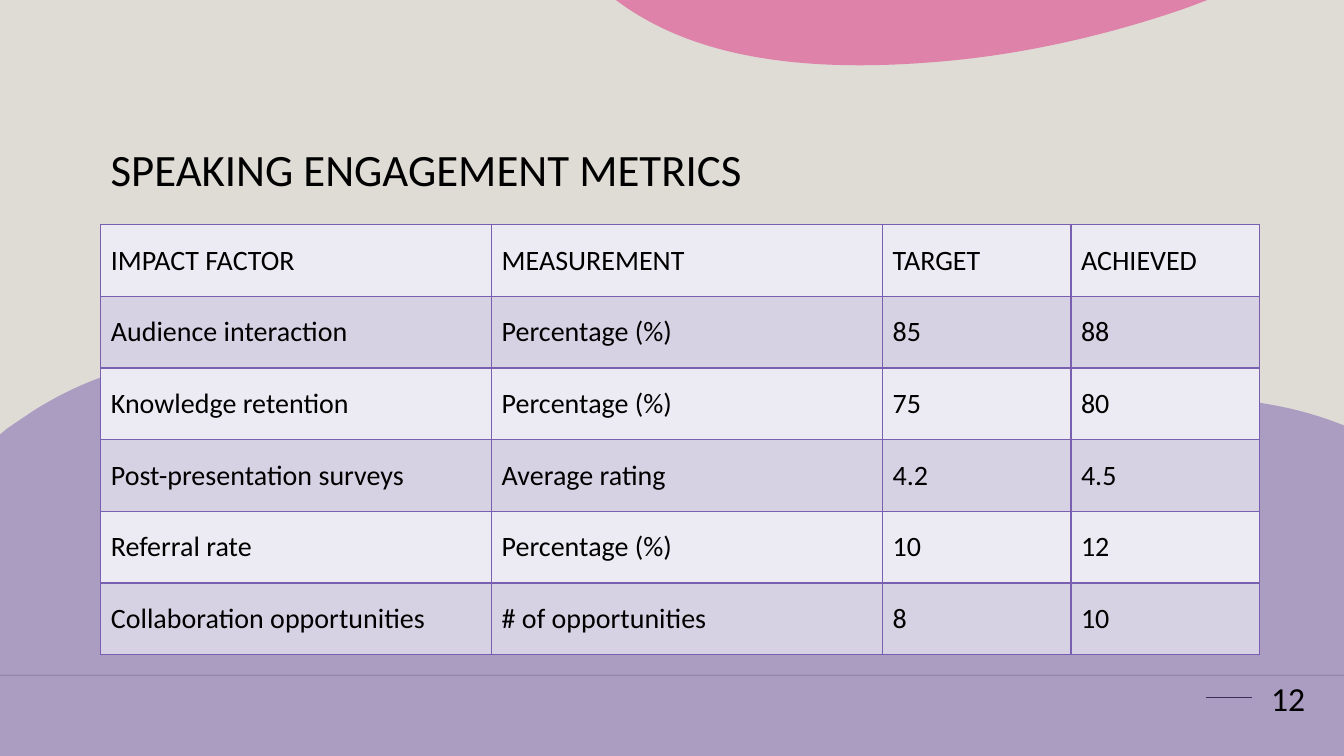
from lxml import etree
from pptx import Presentation
from pptx.dml.color import RGBColor
from pptx.enum.shapes import MSO_CONNECTOR, MSO_SHAPE
from pptx.enum.text import MSO_ANCHOR, PP_ALIGN
from pptx.oxml.ns import qn
from pptx.util import Cm, Pt

LEFT, CENTER = PP_ALIGN.LEFT, PP_ALIGN.CENTER
MIDDLE, BOTTOM = MSO_ANCHOR.MIDDLE, MSO_ANCHOR.BOTTOM
STRAIGHT, RECTANGLE = MSO_CONNECTOR.STRAIGHT, MSO_SHAPE.RECTANGLE

SAND = RGBColor(0xDF, 0xDB, 0xD5)
PURPLE = RGBColor(0x79, 0x5F, 0xAF)
PINK = RGBColor(0xDE, 0x47, 0x8E)
BLACK = RGBColor(0, 0, 0)
PALE = RGBColor(0xEC, 0xEA, 0xF2)
LILAC = RGBColor(0xD7, 0xD2, 0xE3)
FONT = "Calibri"

# Content
TITLE = "SPEAKING ENGAGEMENT METRICS"
PAGE_NUMBER = "12"
METRICS = [
    ("IMPACT FACTOR", "MEASUREMENT", "TARGET", "ACHIEVED"),
    ("Audience interaction", "Percentage (%)", "85", "88"),
    ("Knowledge retention", "Percentage (%)", "75", "80"),
    ("Post-presentation surveys", "Average rating", "4.2", "4.5"),
    ("Referral rate", "Percentage (%)", "10", "12"),
    ("Collaboration opportunities", "# of opportunities", "8", "10"),
]

# Layout in centimetres
WIDTH, HEIGHT = 33.87, 19.05
HORIZON = 17.02
TABLE_LEFT, TABLE_TOP, TABLE_HEIGHT = 2.54, 5.66, 10.84
COLUMN_WIDTHS = (9.85, 9.85, 4.75, 4.75)

# Outlines: one point is a straight side, three points are a Bezier curve
HILLS = [
    [(5.13, 9.09)],
    [(5.99, 9.12), (6.86, 9.3), (7.72, 9.63)],
    [(8.48, 9.91), (9.14, 10.36), (9.8, 10.8)],
    [(11.25, 11.73), (12.83, 12.45), (14.66, 12.7)],
    [(16.18, 12.93), (17.73, 12.78), (19.28, 12.4)],
    [(21.01, 11.99), (22.02, 11.61), (23.06, 11.25)],
    [(24.08, 10.9), (29.49, 9.07), (33.66, 10.64)],
    [(WIDTH, 10.72)], [(WIDTH, HEIGHT)], [(0, HEIGHT)], [(0, 10.95)],
    [(0.18, 10.8)],
    [(0.41, 10.64), (0.64, 10.49), (0.86, 10.34)],
    [(2.29, 9.45), (3.71, 9.04), (5.13, 9.09)],
]
PETAL = [
    [(15.52, 0)], [(30.43, 0)], [(29.9, 0.2)],
    [(26.82, 1.27), (24.41, 1.5), (23.47, 1.57)],
    [(19.2, 1.91), (17.04, 1.04), (15.77, 0.18)],
]


def set_opacity(element, percent):
    color = element.find(".//" + qn("a:srgbClr"))
    etree.SubElement(color, qn("a:alpha"), val=str(percent * 1000))


def write(frame, text, size, align=LEFT, anchor=MIDDLE, spacing=1.0):
    frame.word_wrap = True
    frame.vertical_anchor = anchor
    para = frame.paragraphs[0]
    para.alignment = align
    para.line_spacing = spacing
    span = para.add_run()
    span.text = text
    span.font.name = FONT
    span.font.size = Pt(size)
    span.font.color.rgb = BLACK


def add_text(page, text, left, top, width, height, **style):
    box = page.shapes.add_textbox(Cm(left), Cm(top), Cm(width), Cm(height))
    write(box.text_frame, text, **style)


def add_rule(page, start, end, height, weight, opacity=None):
    rule = page.shapes.add_connector(
        STRAIGHT, Cm(start), Cm(height), Cm(end), Cm(height))
    rule.line.color.rgb = BLACK
    rule.line.width = Pt(weight)
    properties = rule.element.spPr
    if opacity:
        set_opacity(properties, opacity)
    etree.SubElement(properties, qn("a:effectLst"))


def paint(shape, color, opacity=None):
    shape.shadow.inherit = False
    shape.fill.solid()
    shape.fill.fore_color.rgb = color
    if opacity:
        set_opacity(shape.element.spPr, opacity)
    shape.line.fill.background()


def add_blob(page, outline, bottom, color, opacity):
    first, *rest = [(Cm(x), Cm(y)) for *_, (x, y) in outline]
    builder = page.shapes.build_freeform(*first)
    builder.add_line_segments(rest, close=True)
    blob = builder.convert_to_shape()
    geometry = blob.element.spPr.find(".//" + qn("a:path"))

    # Bend the sides that have control points
    for side, part in zip(geometry.findall(qn("a:lnTo")), outline[1:]):
        if len(part) == 3:
            curve = etree.Element(qn("a:cubicBezTo"))
            for x, y in part:
                etree.SubElement(curve, qn("a:pt"), x=str(Cm(x) - blob.left),
                                 y=str(Cm(y) - blob.top))
            geometry.replace(side, curve)

    # A curve may reach below its end points
    blob.height = Cm(bottom) - blob.top
    geometry.set("h", str(blob.height))
    paint(blob, color, opacity)


def set_borders(cell):
    properties = cell._tc.get_or_add_tcPr()
    for index, side in enumerate(("a:lnL", "a:lnR", "a:lnT", "a:lnB")):
        border = etree.Element(qn(side), w=str(Pt(1)))
        fill = etree.SubElement(border, qn("a:solidFill"))
        etree.SubElement(fill, qn("a:srgbClr"), val=str(PURPLE))
        properties.insert(index, border)


def add_metrics(page):
    table = page.shapes.add_table(
        len(METRICS), len(COLUMN_WIDTHS), Cm(TABLE_LEFT), Cm(TABLE_TOP),
        Cm(sum(COLUMN_WIDTHS)), Cm(TABLE_HEIGHT)).table
    for column, width in zip(table.columns, COLUMN_WIDTHS):
        column.width = Cm(width)
    for row, values in enumerate(METRICS):
        table.rows[row].height = Cm(TABLE_HEIGHT / len(METRICS))
        for column, value in enumerate(values):
            cell = table.cell(row, column)
            cell.fill.solid()
            cell.fill.fore_color.rgb = LILAC if row % 2 else PALE
            write(cell.text_frame, value, size=20, anchor=None)
            cell.vertical_anchor = MIDDLE
            set_borders(cell)


def main():
    deck = Presentation()
    deck.slide_width, deck.slide_height = Cm(WIDTH), Cm(HEIGHT)
    page = deck.slides.add_slide(deck.slide_layouts[6])

    # Backdrop
    page.background.fill.solid()
    page.background.fill.fore_color.rgb = SAND
    band = page.shapes.add_shape(
        RECTANGLE, 0, Cm(5.61), Cm(WIDTH), Cm(HORIZON - 5.61))
    paint(band, SAND)
    add_rule(page, 0, WIDTH, HORIZON, weight=1, opacity=20)
    add_rule(page, 30.38, 31.55, 17.58, weight=1.25)
    add_blob(page, HILLS, HEIGHT, PURPLE, opacity=50)
    add_blob(page, PETAL, 1.65, PINK, opacity=60)

    # Title, table and page number
    add_text(page, TITLE, 2.54, 2.54, 28.78, 2.54,
             size=32, anchor=BOTTOM, spacing=0.9)
    add_metrics(page)
    add_text(page, PAGE_NUMBER, 31.55, 16.34, 1.83, 2.49,
             size=24, align=CENTER)

    deck.save("out.pptx")


if __name__ == "__main__":
    main()
